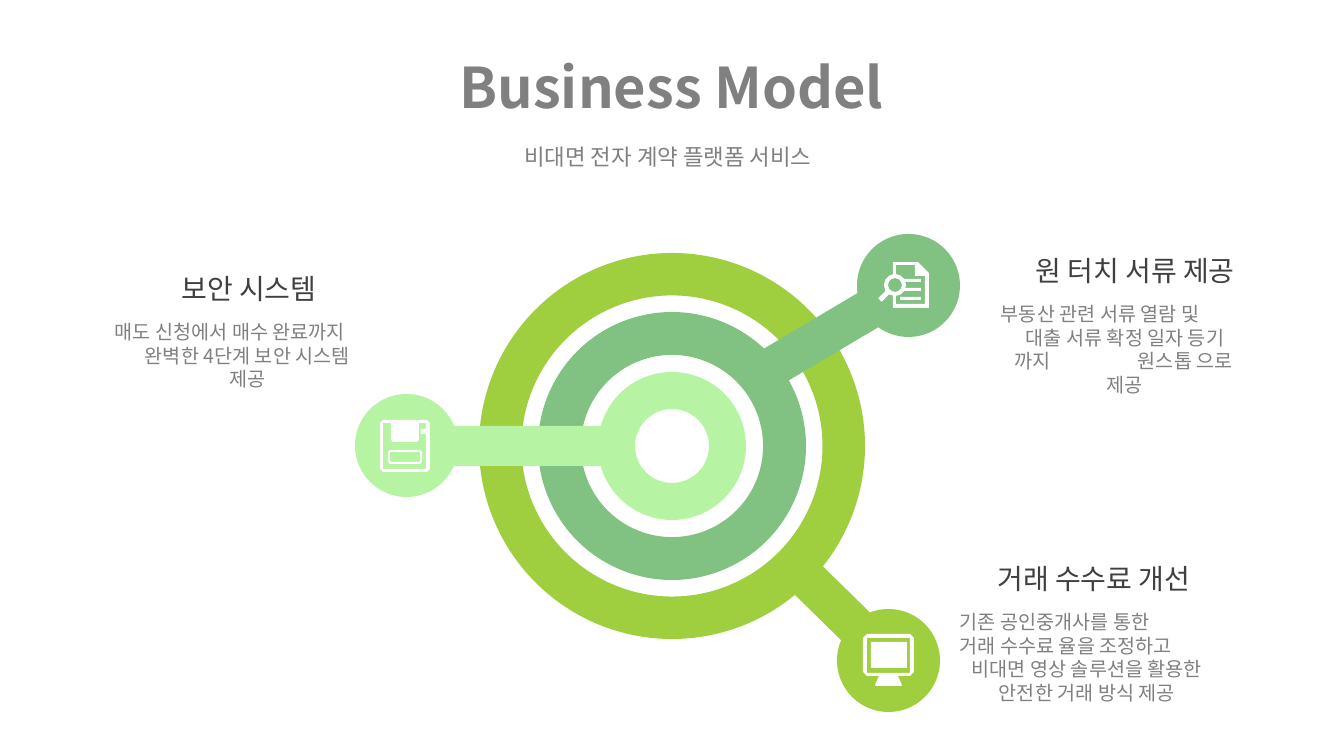
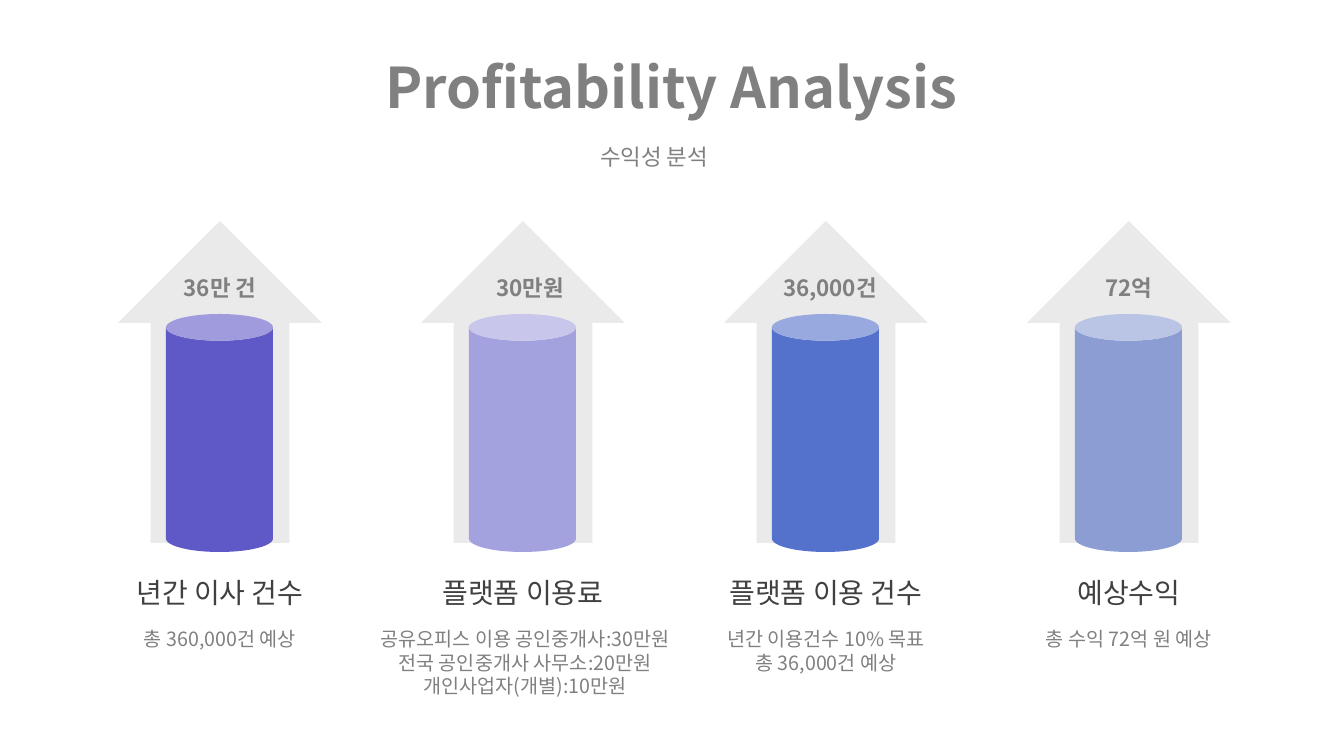
from lxml import etree
from pptx import Presentation
from pptx.dml.color import RGBColor
from pptx.enum.shapes import MSO_CONNECTOR, MSO_SHAPE
from pptx.enum.text import MSO_ANCHOR, PP_ALIGN
from pptx.oxml.ns import qn
from pptx.util import Emu, Pt

DONUT, OVAL, RECT = MSO_SHAPE.DONUT, MSO_SHAPE.OVAL, MSO_SHAPE.RECTANGLE
UP_ARROW, CAN = MSO_SHAPE.UP_ARROW, MSO_SHAPE.CAN
STRAIGHT = MSO_CONNECTOR.STRAIGHT
CENTER, LEFT = PP_ALIGN.CENTER, PP_ALIGN.LEFT
TOP, MIDDLE = MSO_ANCHOR.TOP, MSO_ANCHOR.MIDDLE

WIDTH, HEIGHT = 1344, 756
SCALE = 12192000 / WIDTH
INSET = 10
FONT = "Noto Sans CJK KR"
GRAY, DARK, WHITE, ARROW_GRAY = "808080", "404040", "FFFFFF", "EAEAEA"
MINT, GREEN, LIME = "B6F3A3", "81C181", "9FCE3E"


def px(length):
    return Emu(round(length * SCALE))


def color(code):
    return RGBColor.from_string(code)


def rounded_box(left, top, right, bottom, cut):
    return [(left + cut, top), (right - cut, top), (right, top + cut),
            (right, bottom - cut), (right - cut, bottom), (left + cut, bottom),
            (left, bottom - cut), (left, top + cut)]


class Deck:
    """Hold the shared style and the slide being drawn."""

    def __init__(self):
        self.prs = Presentation()
        self.prs.slide_width, self.prs.slide_height = px(WIDTH), px(HEIGHT)
        self.shapes = None

    def new_slide(self, title, subtitle, subtitle_center):
        slide = self.prs.slides.add_slide(self.prs.slide_layouts[6])
        self.shapes = slide.shapes
        self.text(89, 36, 1165, 101, [title], 40, bold=True, anchor=MIDDLE)
        self.text(subtitle_center - 510, 138, 1020, 41, [subtitle], 16)

    def frame(self, left, top, width, height, anchor=TOP):
        box = self.shapes.add_textbox(px(left), px(top), px(width), px(height))
        box.text_frame.word_wrap = True
        box.text_frame.vertical_anchor = anchor
        return box.text_frame

    def paragraph(self, frame, index, align, size):
        paragraph = frame.paragraphs[0] if index == 0 else frame.add_paragraph()
        paragraph.alignment = align
        paragraph.line_spacing = Pt(size * 1.2)
        return paragraph

    def run(self, paragraph, words, size, tone=GRAY, bold=False):
        run = paragraph.add_run()
        run.text = words
        run.font.size, run.font.bold = Pt(size), bold
        run.font.color.rgb = color(tone)
        run.font.name = FONT
        etree.SubElement(run.font._element, qn("a:ea"), typeface=FONT)

    def text(self, left, top, width, height, lines, size, tone=GRAY,
             bold=False, anchor=TOP):
        frame = self.frame(left, top, width, height, anchor)
        for index, words in enumerate(lines):
            paragraph = self.paragraph(frame, index, CENTER, size)
            self.run(paragraph, words, size, tone, bold)

    def stepped_text(self, left, top, width, height, lines):
        frame = self.frame(left, top, width, height)
        for index, pieces in enumerate(lines):
            paragraph = self.paragraph(frame, index, LEFT, 14)
            stops = etree.SubElement(paragraph._p.get_or_add_pPr(), qn("a:tabLst"))
            for start, words in pieces:
                offset = start - left - INSET
                if offset > 0:
                    etree.SubElement(stops, qn("a:tab"), pos=str(px(offset)), algn="l")
                self.run(paragraph, "\t" + words if offset > 0 else words, 14)

    def paint(self, shape, fill):
        shape.shadow.inherit = False
        shape.fill.solid()
        shape.fill.fore_color.rgb = color(fill)
        shape.line.fill.background()
        return shape

    def shape(self, kind, left, top, width, height, fill, adjust=(), angle=0):
        shape = self.shapes.add_shape(kind, px(left), px(top), px(width), px(height))
        for index, value in enumerate(adjust):
            shape.adjustments[index] = value
        shape.rotation = angle
        return self.paint(shape, fill)

    def outline(self, *contours):
        builder = None
        for first, *rest in contours:
            if builder is None:
                builder = self.shapes.build_freeform(*first, scale=SCALE)
            else:
                builder.move_to(*first)
            builder.add_line_segments(rest, close=True)
        self.paint(builder.convert_to_shape(), WHITE)

    def line(self, x1, y1, x2, y2, width):
        line = self.shapes.add_connector(STRAIGHT, px(x1), px(y1), px(x2), px(y2))
        line.line.color.rgb = color(WHITE)
        line.line.width = px(width)
        etree.SubElement(line._element.spPr, qn("a:effectLst"))


def floppy_icon(deck):
    shutter_and_notch = [
        (426, 434), (426, 469), (383, 469), (383, 423), (391, 423), (391, 440),
        (393, 442), (417, 442), (419, 440), (419, 423), (426, 423), (426, 429),
        (421, 429), (421, 434)]
    deck.outline(rounded_box(380, 420, 430, 472, 3), shutter_and_notch)
    deck.outline(rounded_box(388, 450, 422, 464, 2), rounded_box(390, 452, 420, 462, 1))


def monitor_icon(deck):
    deck.shape(RECT, 871, 642, 36, 26, WHITE)
    deck.outline(rounded_box(863, 634, 914, 676, 4), rounded_box(867, 638, 910, 673, 0))
    deck.outline([(879, 676), (898, 676), (902, 685), (901, 686), (876, 686), (875, 685)])


def document_icon(deck):
    page = [(893, 262), (918, 262), (929, 273), (929, 308), (893, 308)]
    inside = [(896, 265), (915, 265), (915, 276), (925, 276), (925, 304), (896, 304)]
    deck.outline(page, inside)
    for top in (279, 288, 297):
        deck.shape(RECT, 900, top, 21, 3, WHITE)
    deck.line(880, 300, 888, 292, 5)
    lens = deck.shape(OVAL, 886, 276, 18, 18, GREEN)
    lens.line.color.rgb = color(WHITE)
    lens.line.width = px(4)


def business_model(deck):
    deck.new_slide("Business Model", "비대면 전자 계약 플랫폼 서비스", 668)

    features = [
        (105, 267, 288, "보안 시스템",
         [[(115, "매도 신청에서 매수 완료까지")],
          [(145, "완벽한 4단계 보안 시스템")],
          [(230, "제공")]]),
        (991, 249, 268, "원 터치 서류 제공",
         [[(1001, "부동산 관련 서류 열람 및")],
          [(1026, "대출 서류 확정 일자 등기")],
          [(1015, "까지"), (1138, "원스톱 으로")],
          [(1107, "제공")]]),
        (950, 557, 268, "거래 수수료 개선",
         [[(960, "기존 공인중개사를 통한")],
          [(960, "거래 수수료 율을 조정하고")],
          [(972, "비대면 영상 솔루션을 활용한")],
          [(999, "안전한 거래 방식 제공")]]),
    ]
    for left, top, width, heading, lines in features:
        deck.text(left, top, 288, 44, [heading], 20, DARK)
        deck.stepped_text(left, top + 48, width, 10 + 24 * len(lines), lines)

    center_x, center_y = 672, 446
    for size, band, fill in ((148, 0.25, MINT), (268, 0.16, GREEN), (386, 0.11, LIME)):
        deck.shape(DONUT, center_x - size // 2, center_y - size // 2, size, size,
                   fill, [band])
    for left, top, width, angle, fill in (
            (726, 305, 234, -30.7, GREEN), (390, 426, 234, 0, MINT),
            (755, 597, 182, 44.4, LIME)):
        deck.shape(RECT, left, top, width, 40, fill, angle=angle)
    for left, top, fill in ((857, 234, GREEN), (355, 394, MINT), (837, 609, LIME)):
        deck.shape(OVAL, left, top, 103, 103, fill)

    floppy_icon(deck)
    monitor_icon(deck)
    document_icon(deck)


def profitability(deck):
    deck.new_slide("Profitability Analysis", "수익성 분석", 654)

    columns = [
        ("36만 건", 0, "5F59C7", "년간 이사 건수", 0, ["총 360,000건 예상"]),
        ("30만원", 7, "A4A1DF", "플랫폼 이용료", 2,
         ["공유오피스 이용 공인중개사:30만원", "전국 공인중개사 사무소:20만원",
          "개인사업자(개별):10만원"]),
        ("36,000건", 4, "5471CC", "플랫폼 이용 건수", 0,
         ["년간 이용건수 10% 목표", "총 36,000건 예상"]),
        ("72억", 0, "8C9DD4", "예상수익", 0, ["총 수익 72억 원 예상"]),
    ]
    for index, (value, value_shift, fill, heading, shift, details) in enumerate(columns):
        center = 220 + 303 * index
        deck.shape(UP_ARROW, center - 102, 221, 204, 322, ARROW_GRAY, [0.68, 0.5])
        deck.shape(CAN, center - 54, 314, 107, 238, fill)
        deck.text(center + value_shift - 70, 269, 140, 37, [value], 16, bold=True)
        deck.text(center - 170, 571, 340, 44, [heading], 20, DARK)
        deck.text(center + shift - 186, 622, 372, 10 + 24 * len(details), details, 14)


def main():
    deck = Deck()
    business_model(deck)
    profitability(deck)
    deck.prs.save("out.pptx")


if __name__ == "__main__":
    main()
